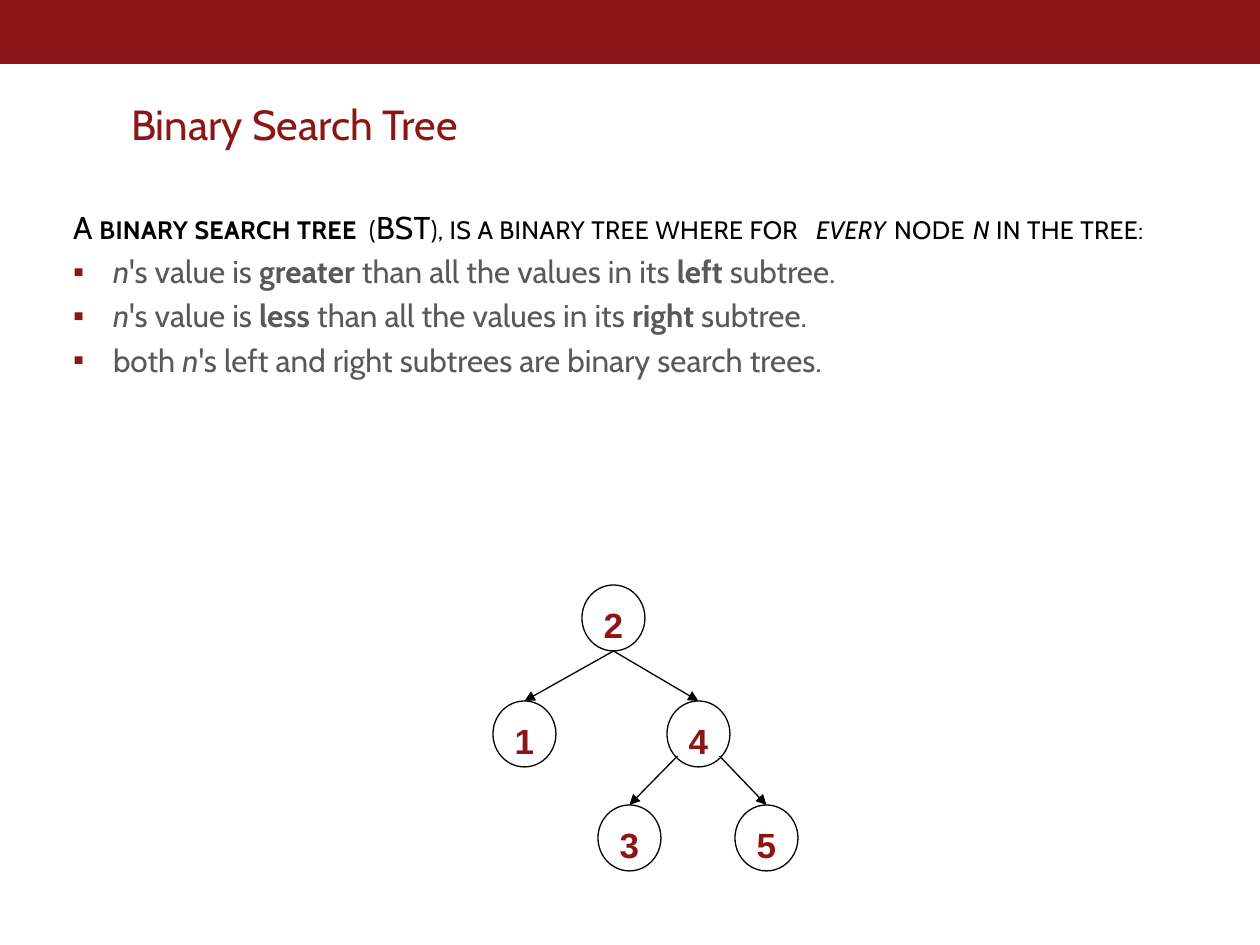
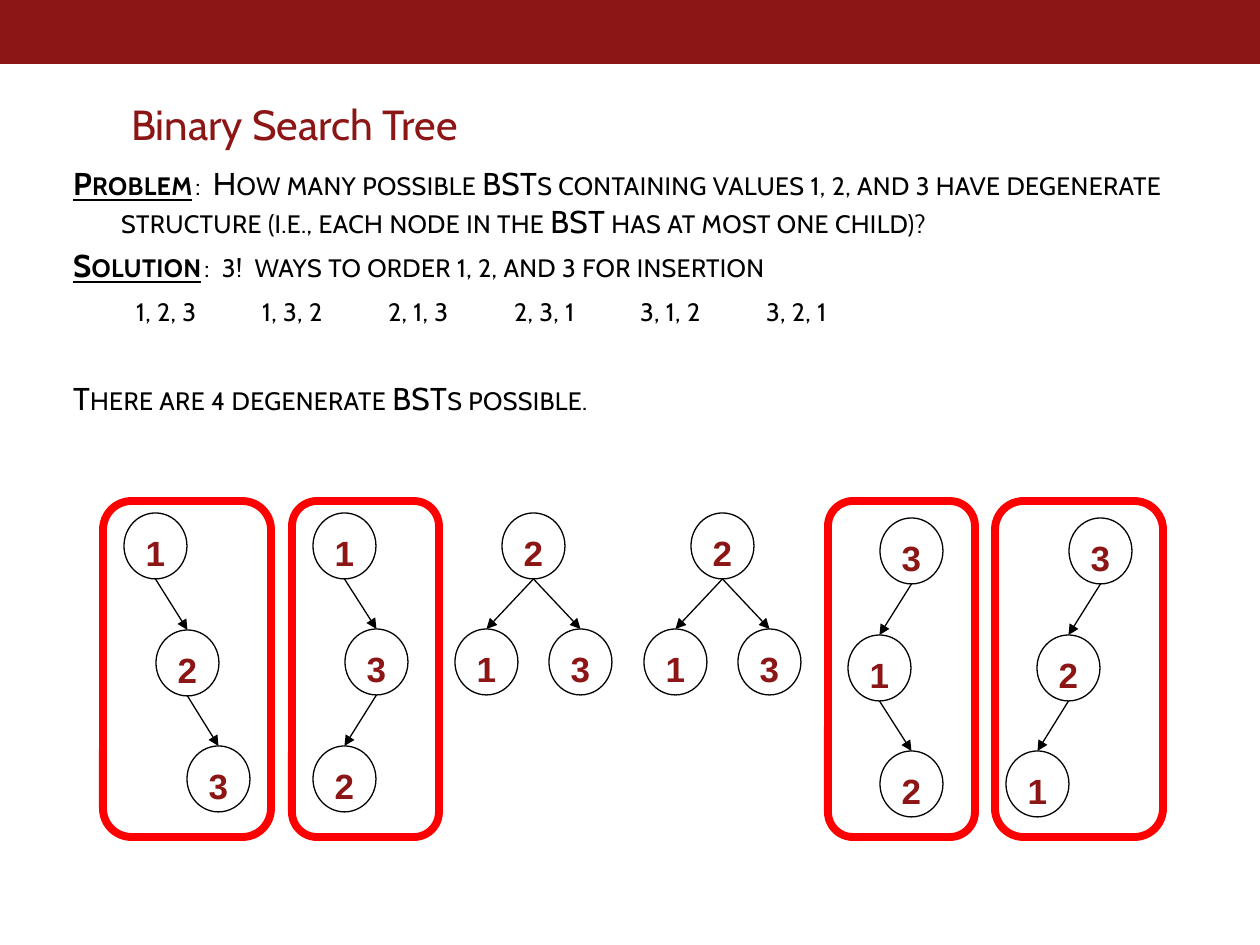
from lxml import etree
from pptx import Presentation
from pptx.dml.color import RGBColor
from pptx.enum.shapes import MSO_CONNECTOR, MSO_SHAPE
from pptx.enum.text import MSO_ANCHOR, MSO_AUTO_SIZE, PP_ALIGN
from pptx.oxml.ns import qn
from pptx.util import Pt

RECT, ELLIPSE, ROUNDED = MSO_SHAPE.RECTANGLE, MSO_SHAPE.OVAL, MSO_SHAPE.ROUNDED_RECTANGLE
STRAIGHT = MSO_CONNECTOR.STRAIGHT
CENTER, LEFT = PP_ALIGN.CENTER, PP_ALIGN.LEFT
MIDDLE, BOTTOM, TOP = MSO_ANCHOR.MIDDLE, MSO_ANCHOR.BOTTOM, MSO_ANCHOR.TOP
NO_FIT = MSO_AUTO_SIZE.NONE

HEX = {"cardinal": "8C1515", "black": "000000", "white": "FFFFFF",
       "gray": "595959", "red": "FF0000"}
COLOR = {name: RGBColor.from_string(value) for name, value in HEX.items()}
TEXT_FONT, NODE_FONT = "Cabin", "Arial"

NODE_W, NODE_H = 63, 66
GAP = 3.6           # points above each body paragraph
TAB_FIRST, TAB_STEP = 48, 91


def px(length):
    """Turn a length at 126 px to the inch into EMU."""
    return round(length * 914400 / 126)


def draw_tree(shapes, root_x, root_y, nodes):
    """Draw nodes given as (value, dx, dy, parent value), offset from the root's corner."""
    corners = {value: (root_x + dx, root_y + dy) for value, dx, dy, _ in nodes}
    parents = [parent for *_, parent in nodes]
    for value, (x, y) in corners.items():
        node = shapes.add_shape(ELLIPSE, px(x), px(y), px(NODE_W), px(NODE_H))
        node.shadow.inherit = False
        node.fill.solid()
        node.fill.fore_color.rgb = COLOR["white"]
        node.line.color.rgb = COLOR["black"]
        node.line.width = Pt(0.75)
        frame = node.text_frame
        frame.vertical_anchor = MIDDLE
        frame.margin_left = frame.margin_right = frame.margin_bottom = 0
        frame.margin_top = px(13)
        label = frame.paragraphs[0]
        label.text = str(value)
        label.alignment = CENTER
        label.font.name, label.font.size, label.font.bold = NODE_FONT, Pt(20), True
        label.font.color.rgb = COLOR["cardinal"]

    for value, _, _, parent in nodes:
        if parent is None:
            continue
        child_x, child_y = corners[value]
        start_x, start_y = corners[parent]
        # An inner node with two children sends its arrows from its lower sides
        if parent != nodes[0][0] and parents.count(parent) == 2:
            start_x += 21 if child_x > start_x else -21
            start_y += 55
        else:
            start_y += NODE_H
        arrow = shapes.add_connector(STRAIGHT, px(start_x + NODE_W / 2), px(start_y),
                                     px(child_x + NODE_W / 2), px(child_y))
        arrow.line.color.rgb = COLOR["black"]
        arrow.line.width = Pt(0.75)
        properties = arrow._element.spPr
        etree.SubElement(properties.find(qn("a:ln")), qn("a:tailEnd"), type="triangle")
        etree.SubElement(properties, qn("a:effectLst"))


# Paragraphs are (kind, gap above, runs); a run is (text, letters of b, i, u)
DEFINITION = [
    ("lead", GAP, [("A ", ""), ("binary search tree", "b"),
                   (" (BST), is a binary tree where for ", ""), ("every", "i"),
                   (" node ", ""), ("n", "i"), (" in the tree:", "")]),
    ("item", GAP, [("n", "i"), ("'s value is ", ""), ("greater", "b"),
                   (" than all the values in its ", ""), ("left", "b"), (" subtree.", "")]),
    ("item", GAP, [("n", "i"), ("'s value is ", ""), ("less", "b"),
                   (" than all the values in its ", ""), ("right", "b"), (" subtree.", "")]),
    ("item", GAP, [("both ", ""), ("n", "i"),
                   ("'s left and right subtrees are binary search trees.", "")]),
]
ORDERS = ["1, 2, 3", "1, 3, 2", "2, 1, 3", "2, 3, 1", "3, 1, 2", "3, 2, 1"]
PROBLEM = [
    ("lead", GAP, [("Problem", "bu"),
                   (":  How many possible BSTs containing values 1, 2, and 3 have degenerate "
                    "structure (i.e., each node in the BST has at most one child)?", "")]),
    ("lead", GAP, [("Solution", "bu"),
                   (":  3!  ways to order 1, 2, and 3 for insertion", "")]),
    ("tabs", GAP, [("".join("\t" + order for order in ORDERS), "")]),
    ("lead", 29, [("There are 4 degenerate BSTs possible.", "")]),
]

presentation = Presentation()
presentation.slide_width, presentation.slide_height = px(1260), px(945)
layout = presentation.slide_layouts[1]
slides = []

for body_top, paragraphs in [(202, DEFINITION), (158, PROBLEM)]:
    slide = presentation.slides.add_slide(layout)
    slides.append(slide)
    band = slide.shapes.add_shape(RECT, px(-1), 0, px(1261), px(63))
    band.shadow.inherit = False
    band.fill.solid()
    band.fill.fore_color.rgb = band.line.color.rgb = COLOR["cardinal"]
    band.line.width = Pt(0.75)

    title = slide.shapes.title
    title.left, title.top, title.width, title.height = px(131), px(66), px(1062), px(89)
    title.text_frame.auto_size = NO_FIT
    title.text_frame.vertical_anchor = BOTTOM
    title.text_frame.margin_left = 0
    heading = title.text_frame.paragraphs[0]
    heading.text = "Binary Search Tree"
    heading.alignment = LEFT
    heading.line_spacing = 0.85
    heading.font.name, heading.font.size = TEXT_FONT, Pt(24)
    heading.font.color.rgb = COLOR["cardinal"]

    body = slide.placeholders[1]
    body.left, body.top, body.width, body.height = px(73), px(body_top), px(1155), px(872 - body_top)
    frame = body.text_frame
    frame.auto_size = NO_FIT
    frame.vertical_anchor = TOP
    frame.margin_left = frame.margin_right = 0
    for index, (kind, gap, runs) in enumerate(paragraphs):
        paragraph = frame.paragraphs[0] if index == 0 else frame.add_paragraph()
        is_item = kind == "item"
        paragraph.level = 1 if is_item else 0
        paragraph.space_before = Pt(gap)
        settings = paragraph._p.get_or_add_pPr()
        indent = {"lead": 48, "item": 40, "tabs": 0}[kind]
        settings.set("marL", str(px(indent)))
        settings.set("indent", str(px(-indent)))
        if is_item:
            bullet_color = etree.SubElement(settings, qn("a:buClr"))
            etree.SubElement(bullet_color, qn("a:srgbClr"), val=HEX["cardinal"])
            etree.SubElement(settings, qn("a:buFont"), typeface="Arial")
            etree.SubElement(settings, qn("a:buChar"), char="▪")
        else:
            etree.SubElement(settings, qn("a:buNone"))
        if kind == "tabs":
            stops = etree.SubElement(settings, qn("a:tabLst"))
            for column in range(len(ORDERS)):
                etree.SubElement(stops, qn("a:tab"), algn="l",
                                 pos=str(px(TAB_FIRST + column * TAB_STEP)))
        paragraph.font.name, paragraph.font.size = TEXT_FONT, Pt(18)
        paragraph.font.color.rgb = COLOR["gray" if is_item else "black"]
        for text, style in runs:
            run = paragraph.add_run()
            run.text = text
            for letter, attribute in [("b", "bold"), ("i", "italic"), ("u", "underline")]:
                if letter in style:
                    setattr(run.font, attribute, True)
            if not is_item:
                run_settings = run._r.get_or_add_rPr()
                run_settings.set("cap", "small")
                run_settings.set("spc", "20")

definition_slide, problem_slide = slides

draw_tree(definition_slide.shapes, 582, 585,
          [(2, 0, 0, None), (1, -89, 116, 2), (4, 85, 116, 2),
           (3, 16, 220, 4), (5, 153, 220, 4)])

# One tree per insertion order, evenly spaced
balanced = [(2, 0, 0, None), (1, -47, 116, 2), (3, 47, 116, 2)]
insertion_trees = [
    (513, [(1, 0, 0, None), (2, 32, 117, 1), (3, 63, 233, 2)]),
    (513, [(1, 0, 0, None), (3, 32, 116, 1), (2, 0, 233, 3)]),
    (513, balanced),
    (513, balanced),
    (518, [(3, 0, 0, None), (1, -32, 117, 3), (2, 0, 233, 1)]),
    (518, [(3, 0, 0, None), (2, -32, 117, 3), (1, -63, 233, 2)]),
]
for position, (root_y, nodes) in enumerate(insertion_trees):
    tree = problem_slide.shapes.add_group_shape()
    draw_tree(tree.shapes, 124 + 189 * position, root_y, nodes)

for left, width in [(103, 168), (292, 147), (828, 147), (995, 168)]:
    degenerate_mark = problem_slide.shapes.add_shape(ROUNDED, px(left), px(501), px(width), px(336))
    degenerate_mark.shadow.inherit = False
    degenerate_mark.adjustments[0] = 0.17
    degenerate_mark.fill.background()
    degenerate_mark.line.color.rgb = COLOR["red"]
    degenerate_mark.line.width = Pt(4.5)

presentation.save("out.pptx")
